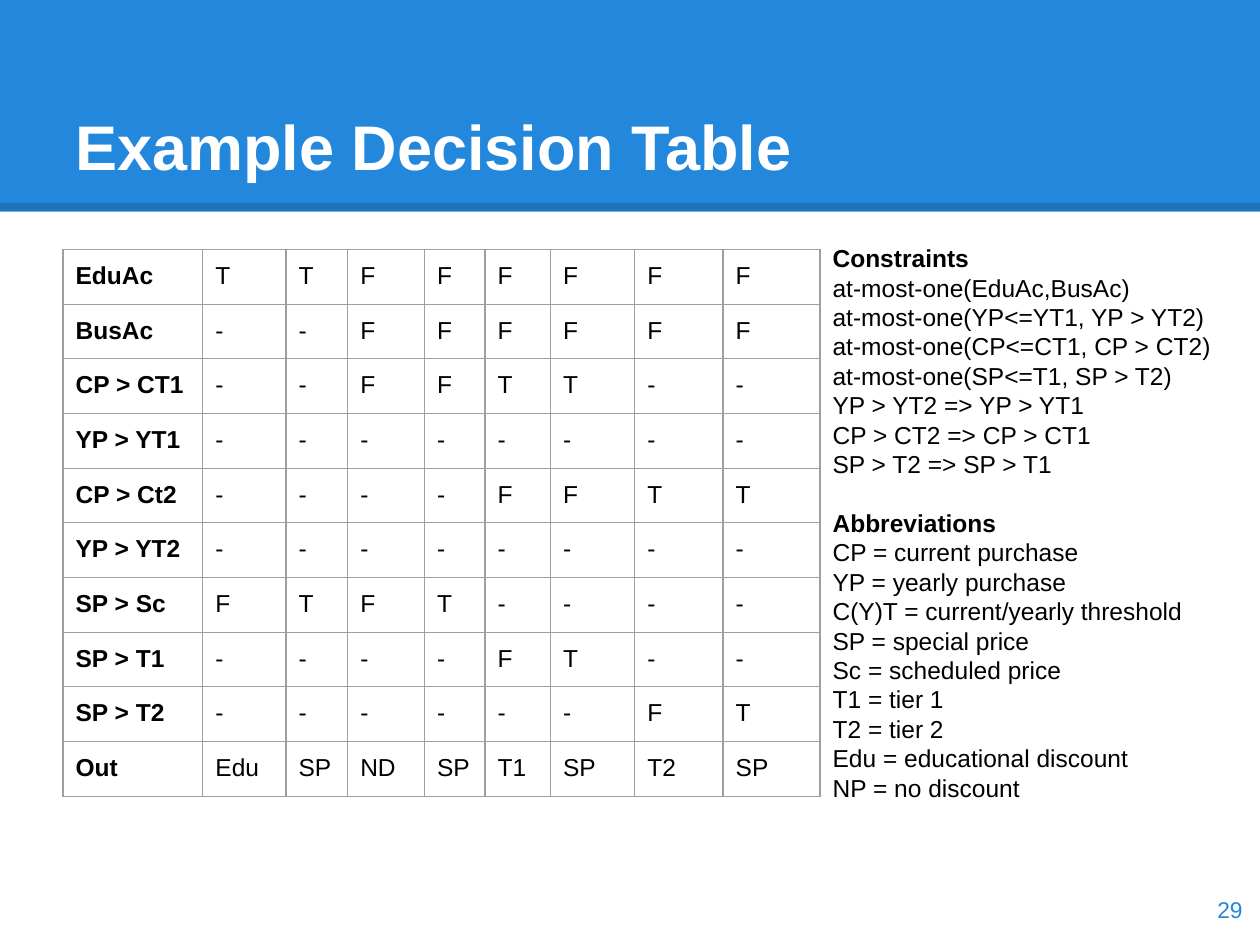
from lxml import etree
from pptx import Presentation
from pptx.dml.color import RGBColor
from pptx.enum.shapes import MSO_CONNECTOR, MSO_SHAPE
from pptx.enum.text import MSO_ANCHOR, PP_ALIGN
from pptx.oxml.ns import qn
from pptx.util import Inches, Pt

RECT = MSO_SHAPE.RECTANGLE
STRAIGHT = MSO_CONNECTOR.STRAIGHT
TOP, MIDDLE, BOTTOM = MSO_ANCHOR.TOP, MSO_ANCHOR.MIDDLE, MSO_ANCHOR.BOTTOM
LEFT, RIGHT = PP_ALIGN.LEFT, PP_ALIGN.RIGHT

FONT = "Arial"
BLUE, WHITE, BLACK, GRAY = "2388DB", "FFFFFF", "000000", "9E9E9E"
MARGIN = Inches(0.1)
LINE_PITCH = Pt(16.8)

COLUMN_WIDTHS = [1.11, 0.66, 0.49, 0.61, 0.48, 0.52, 0.67, 0.7, 0.77]
ROW_HEIGHT = 0.42
DECISIONS = [
    ("EduAc", "T T F F F F F F"),
    ("BusAc", "- - F F F F F F"),
    ("CP > CT1", "- - F F T T - -"),
    ("YP > YT1", "- - - - - - - -"),
    ("CP > Ct2", "- - - - F F T T"),
    ("YP > YT2", "- - - - - - - -"),
    ("SP > Sc", "F T F T - - - -"),
    ("SP > T1", "- - - - F T - -"),
    ("SP > T2", "- - - - - - F T"),
    ("Out", "Edu SP ND SP T1 SP T2 SP"),
]
NOTES = {
    "Constraints": [
        "at-most-one(EduAc,BusAc)",
        "at-most-one(YP<=YT1, YP > YT2)",
        "at-most-one(CP<=CT1, CP > CT2)",
        "at-most-one(SP<=T1, SP > T2)",
        "YP > YT2 => YP > YT1",
        "CP > CT2 => CP > CT1",
        "SP > T2 => SP > T1",
    ],
    "Abbreviations": [
        "CP = current purchase",
        "YP = yearly purchase",
        "C(Y)T = current/yearly threshold",
        "SP = special price",
        "Sc = scheduled price",
        "T1 = tier 1",
        "T2 = tier 2",
        "Edu = educational discount",
        "NP = no discount",
    ],
}


def rgb(color):
    return RGBColor.from_string(color)


def write(p, text, size=14, color=BLACK, bold=False, align=LEFT):
    p.alignment = align
    r = p.add_run()
    r.text = text
    r.font.name = FONT
    r.font.size = Pt(size)
    r.font.bold = bold
    r.font.color.rgb = rgb(color)


def set_margins(box):
    box.margin_left = box.margin_right = MARGIN
    box.margin_top = box.margin_bottom = MARGIN


def add_text_frame(s, x, y, w, h, anchor=TOP):
    tf = s.shapes.add_textbox(Inches(x), Inches(y), Inches(w), Inches(h)).text_frame
    tf.word_wrap = True
    tf.vertical_anchor = anchor
    set_margins(tf)
    return tf


def add_banner(s):
    sp = s.shapes.add_shape(RECT, 0, 0, Inches(10), Inches(1.68))
    sp.shadow.inherit = False
    sp.fill.solid()
    sp.fill.fore_color.rgb = rgb(BLUE)
    sp.line.fill.background()


def add_banner_edge(s):
    y = Inches(1.64)
    line = s.shapes.add_connector(STRAIGHT, 0, y, Inches(10), y)
    line.line.width = Pt(4.5)
    line.line.color.rgb = rgb(BLACK)
    sp_pr = line._element.spPr
    color = sp_pr.find(".//" + qn("a:srgbClr"))
    etree.SubElement(color, qn("a:alpha"), val="15000")
    etree.SubElement(sp_pr, qn("a:effectLst"))


def add_borders(cell):
    tc_pr = cell._tc.get_or_add_tcPr()
    for i, side in enumerate(("a:lnL", "a:lnR", "a:lnT", "a:lnB")):
        ln = etree.Element(qn(side), w=str(Pt(0.75)))
        fill = etree.SubElement(ln, qn("a:solidFill"))
        etree.SubElement(fill, qn("a:srgbClr"), val=GRAY)
        tc_pr.insert(i, ln)


def add_decision_table(s):
    rows, cols = len(DECISIONS), len(COLUMN_WIDTHS)
    table = s.shapes.add_table(
        rows, cols, Inches(0.5), Inches(1.98),
        Inches(sum(COLUMN_WIDTHS)), Inches(rows * ROW_HEIGHT),
    ).table
    table.first_row = table.horz_banding = False
    for column, width in zip(table.columns, COLUMN_WIDTHS):
        column.width = Inches(width)
    for row, (condition, values) in zip(table.rows, DECISIONS):
        row.height = Inches(ROW_HEIGHT)
        for i, (cell, text) in enumerate(zip(row.cells, [condition, *values.split()])):
            set_margins(cell)
            cell.fill.background()
            add_borders(cell)
            write(cell.text_frame.paragraphs[0], text, bold=i == 0)


def add_notes_column(s):
    tf = add_text_frame(s, 6.51, 1.83, 3.24, 5.02)
    p = tf.paragraphs[0]
    for heading, lines in NOTES.items():
        if p.runs:
            p = tf.add_paragraph()
            p.space_before = LINE_PITCH
        write(p, heading, bold=True)
        for text in lines:
            p = tf.add_paragraph()
            write(p, text)
    for p in tf.paragraphs:
        p.line_spacing = LINE_PITCH


def main():
    prs = Presentation()
    prs.slide_width, prs.slide_height = Inches(10), Inches(7.5)
    s = prs.slides.add_slide(prs.slide_layouts[6])
    add_banner(s)
    add_banner_edge(s)
    title = add_text_frame(s, 0.5, 0.3, 9, 1.25, anchor=BOTTOM)
    write(title.paragraphs[0], "Example Decision Table", size=36, color=WHITE, bold=True)
    add_decision_table(s)
    add_notes_column(s)
    number = add_text_frame(s, 9.36, 6.93, 0.6, 0.57, anchor=MIDDLE)
    write(number.paragraphs[0], "29", size=13, color=BLUE, align=RIGHT)
    prs.save("out.pptx")


if __name__ == "__main__":
    main()
